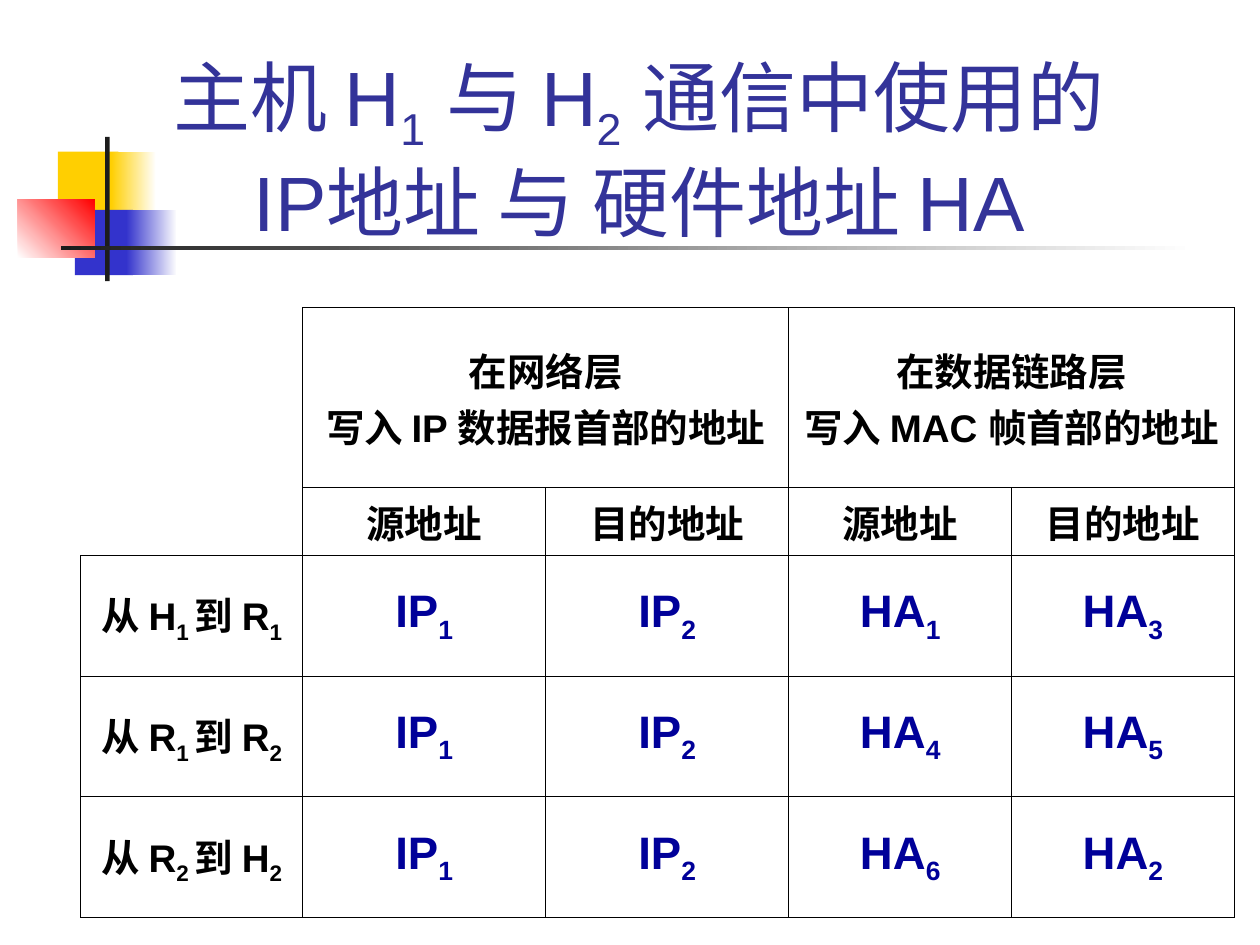
from lxml.etree import SubElement
from pptx import Presentation
from pptx.dml.color import RGBColor
from pptx.enum.shapes import MSO_SHAPE
from pptx.enum.text import MSO_ANCHOR, PP_ALIGN
from pptx.oxml import parse_xml
from pptx.oxml.ns import nsdecls, qn
from pptx.util import Cm, Pt

COLORS = {
    "yellow": "FFCF01", "blue": "3333CC", "red": "FF0000", "dark": "1C1C1C",
    "white": "FFFFFF", "title": "333399", "black": "000000", "address": "000099",
}
FONT = "Arial"
COL_WIDTHS = [4.47, 4.9, 4.9, 4.49, 4.49]
ROW_HEIGHTS = [3.63, 1.37, 2.43, 2.43, 2.43]
HOPS = [
    ("从 H|1 |到 R|1", "1", "3"),
    ("从 R|1 |到 R|2", "4", "5"),
    ("从 R|2 |到 H|2", "6", "2"),
]


def rgb(name):
    return RGBColor.from_string(COLORS[name])


def add_block(s, box, *colors, angle=0):
    sp = s.shapes.add_shape(MSO_SHAPE.RECTANGLE, *map(Cm, box))
    sp.shadow.inherit = False
    sp.line.fill.background()
    if len(colors) == 1:
        sp.fill.solid()
        sp.fill.fore_color.rgb = rgb(colors[0])
        return
    sp.fill.gradient()
    sp.fill.gradient_angle = angle
    for stop, position, color in zip(sp.fill.gradient_stops, (0, 1), colors):
        stop.position = position
        stop.color.rgb = rgb(color)


def add_runs(p, text, size, color, bold):
    p.alignment = PP_ALIGN.CENTER
    for i, part in enumerate(text.split("|")):
        r = p.add_run()
        r.text = part
        r.font.name = FONT
        r.font.size = Pt(size)
        r.font.bold = bold
        r.font.color.rgb = rgb(color)
        if i % 2:
            r.font._element.set("baseline", "-25000")


def add_title(s, first, second):
    tf = s.shapes.add_textbox(Cm(1.27), Cm(1.22), Cm(23.24), Cm(3.89)).text_frame
    tf.word_wrap = True
    tf.vertical_anchor = MSO_ANCHOR.BOTTOM
    p = tf.paragraphs[0]
    add_runs(p, first, 44, "title", False)
    p.add_line_break()
    add_runs(p, second, 44, "title", False)


def set_borders(cell, sides):
    tc_pr = cell._tc.get_or_add_tcPr()
    for i, side in enumerate("LRTB"):
        ln = parse_xml(f'<a:ln{side} {nsdecls("a")} w="9525"/>')
        if side in sides:
            fill = SubElement(ln, qn("a:solidFill"))
            SubElement(fill, qn("a:srgbClr")).set("val", COLORS["black"])
        else:
            SubElement(ln, qn("a:noFill"))
        tc_pr.insert(i, ln)


def fill_cell(cell, *lines, size=22, color="black"):
    cell.vertical_anchor = MSO_ANCHOR.MIDDLE
    cell.margin_left = cell.margin_right = Cm(0.18)
    cell.margin_top = cell.margin_bottom = Cm(0.13)
    tf = cell.text_frame
    for i, line in enumerate(lines):
        p = tf.add_paragraph() if i else tf.paragraphs[0]
        add_runs(p, line, size, color, True)


def add_address_table(s):
    table = s.shapes.add_table(
        len(ROW_HEIGHTS), len(COL_WIDTHS), Cm(1.63), Cm(6.2),
        Cm(sum(COL_WIDTHS)), Cm(sum(ROW_HEIGHTS))).table
    table.first_row = table.horz_banding = False
    for col, width in zip(table.columns, COL_WIDTHS):
        col.width = Cm(width)
    for i, (row, height) in enumerate(zip(table.rows, ROW_HEIGHTS)):
        row.height = Cm(height)
        for j, cell in enumerate(row.cells):
            cell.fill.background()
            set_borders(cell, "RB" if i < 2 and j == 0 else "LRTB")

    for start, end in [((0, 0), (1, 0)), ((0, 1), (0, 2)), ((0, 3), (0, 4))]:
        table.cell(*start).merge(table.cell(*end))
    fill_cell(table.cell(0, 1), "在网络层", "写入 IP 数据报首部的地址")
    fill_cell(table.cell(0, 3), "在数据链路层", "写入 MAC 帧首部的地址")
    for j, label in enumerate(["源地址", "目的地址"] * 2, 1):
        fill_cell(table.cell(1, j), label)
    for i, (hop, source, target) in enumerate(HOPS, 2):
        fill_cell(table.cell(i, 0), hop)
        addresses = ["IP|1", "IP|2", f"HA|{source}", f"HA|{target}"]
        for j, address in enumerate(addresses, 1):
            fill_cell(table.cell(i, j), address, size=26, color="address")


def main():
    prs = Presentation()
    prs.slide_width, prs.slide_height = Cm(25.4), Cm(19.05)
    s = prs.slides.add_slide(prs.slide_layouts[6])
    add_block(s, (1.17, 3.06, 1.22, 1.32), "yellow")
    add_block(s, (2.24, 3.06, 0.91, 1.32), "yellow", "white")
    add_block(s, (1.51, 4.23, 1.17, 1.32), "blue")
    add_block(s, (2.55, 4.23, 1.02, 1.32), "blue", "white")
    add_block(s, (0.36, 4.02, 1.55, 1.18), "white", "red", angle=45)
    add_block(s, (2.12, 2.76, 0.09, 2.91), "dark")
    add_block(s, (1.23, 4.95, 22.86, 0.09), "dark", "white")
    add_title(s, "主机 H|1| 与 H|2| 通信中使用的", "IP地址 与 硬件地址 HA")
    add_address_table(s)
    prs.save("out.pptx")


if __name__ == "__main__":
    main()
